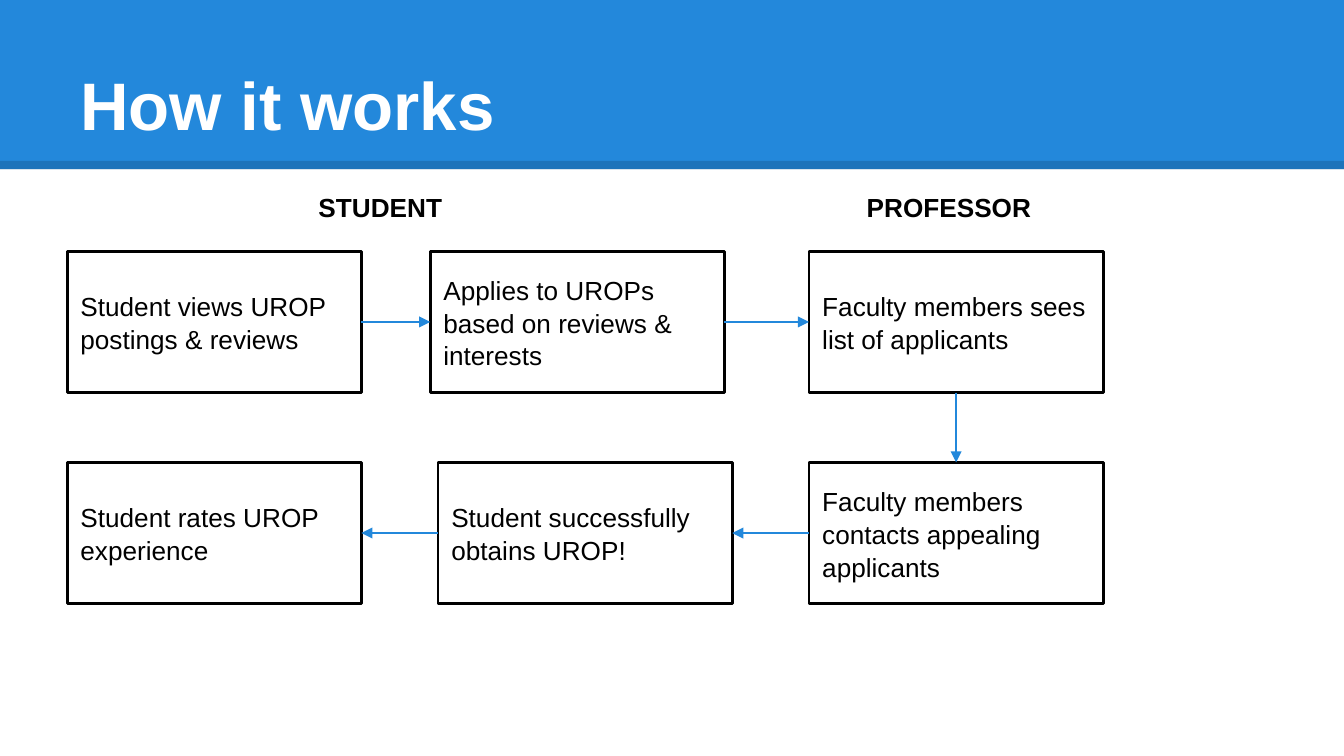
import pptx
import pptx.util
import pptx.dml.color
import pptx.enum.shapes
import pptx.enum.text
import lxml.etree
from pptx.util import Cm, Pt

COLORS = {"blue": "2388DB", "black": "000000", "white": "FFFFFF"}
RGB = {name: pptx.dml.color.RGBColor.from_string(v) for name, v in COLORS.items()}
NS = "{http://schemas.openxmlformats.org/drawingml/2006/main}"
SHAPES = pptx.enum.shapes.MSO_SHAPE
STRAIGHT = pptx.enum.shapes.MSO_CONNECTOR.STRAIGHT
ANCHOR = pptx.enum.text.MSO_ANCHOR


def put_text(sp, text, size=14, color="black", bold=False, anchor=ANCHOR.MIDDLE, spacing=1.05):
    tf = sp.text_frame
    tf.word_wrap = True
    tf.auto_size = pptx.enum.text.MSO_AUTO_SIZE.NONE
    tf.vertical_anchor = anchor
    tf.margin_left = tf.margin_right = tf.margin_top = tf.margin_bottom = Cm(0.25)
    p = tf.paragraphs[0]
    p.alignment = pptx.enum.text.PP_ALIGN.LEFT
    p.line_spacing = spacing
    r = p.add_run()
    r.text = text
    r.font.name, r.font.size, r.font.bold = "Arial", Pt(size), bold
    r.font.color.rgb = RGB[color]


def add_line(s, x1, y1, x2, y2, color, width):
    """Add a straight connector without a shadow."""
    line = s.shapes.add_connector(STRAIGHT, x1, y1, x2, y2)
    line.line.color.rgb = RGB[color]
    line.line.width = Pt(width)
    lxml.etree.SubElement(line._element.spPr, NS + "effectLst")
    return line


prs = pptx.Presentation()
prs.slide_width, prs.slide_height = Cm(25.4), Cm(14.29)
s = prs.slides.add_slide(prs.slide_layouts[5])

# Header band with a translucent lower edge
band = s.shapes.add_shape(SHAPES.RECTANGLE, 0, 0, prs.slide_width, Cm(3.2))
band.shadow.inherit = False
band.fill.solid()
band.fill.fore_color.rgb = RGB["blue"]
band.line.fill.background()
edge = add_line(s, 0, Cm(3.12), prs.slide_width, Cm(3.12), "black", 4.5)
rgb = edge._element.spPr.find(f".//{NS}srgbClr")
lxml.etree.SubElement(rgb, NS + "alpha", val="15000")

# Title, brought in front of the band
title = s.shapes.title
title.left, title.top, title.width, title.height = Cm(1.27), Cm(0.58), Cm(22.86), Cm(2.39)
put_text(title, "How it works", size=36, color="white", bold=True, anchor=ANCHOR.BOTTOM, spacing=1)
s.shapes._spTree.append(title._element)

# Steps in the order of the process
top_row, bottom_row = 4.75, 8.74
steps = [
    (1.27, top_row, "Student views UROP postings & reviews"),
    (8.13, top_row, "Applies to UROPs based on reviews & interests"),
    (15.29, top_row, "Faculty members sees list of applicants"),
    (15.29, bottom_row, "Faculty members contacts appealing applicants"),
    (8.28, bottom_row, "Student successfully obtains UROP!"),
    (1.27, bottom_row, "Student rates UROP experience"),
]
boxes = []
for x, y, text in steps:
    sp = s.shapes.add_shape(SHAPES.RECTANGLE, Cm(x), Cm(y), Cm(5.56), Cm(2.67))
    sp.shadow.inherit = False
    sp.fill.background()
    sp.line.color.rgb = RGB["black"]
    sp.line.width = Pt(1.5)
    put_text(sp, text)
    boxes.append(sp)

# Role headings
for x, width, text in [(5.77, 3.56, "STUDENT"), (16.13, 3.91, "PROFESSOR")]:
    sp = s.shapes.add_textbox(Cm(x), Cm(2.95), Cm(width), Cm(1.9))
    put_text(sp, text, bold=True)

# Arrows from each step to the next, by connection site
TOP, LEFT, BOTTOM, RIGHT = range(4)
sites = [(RIGHT, LEFT), (RIGHT, LEFT), (BOTTOM, TOP), (LEFT, RIGHT), (LEFT, RIGHT)]
for start, end, (leave, enter) in zip(boxes, boxes[1:], sites):
    arrow = add_line(s, 0, 0, 0, 0, "blue", 1.5)
    arrow.begin_connect(start, leave)
    arrow.end_connect(end, enter)
    lxml.etree.SubElement(arrow.line._get_or_add_ln(), NS + "tailEnd", type="triangle")

prs.save("out.pptx")
